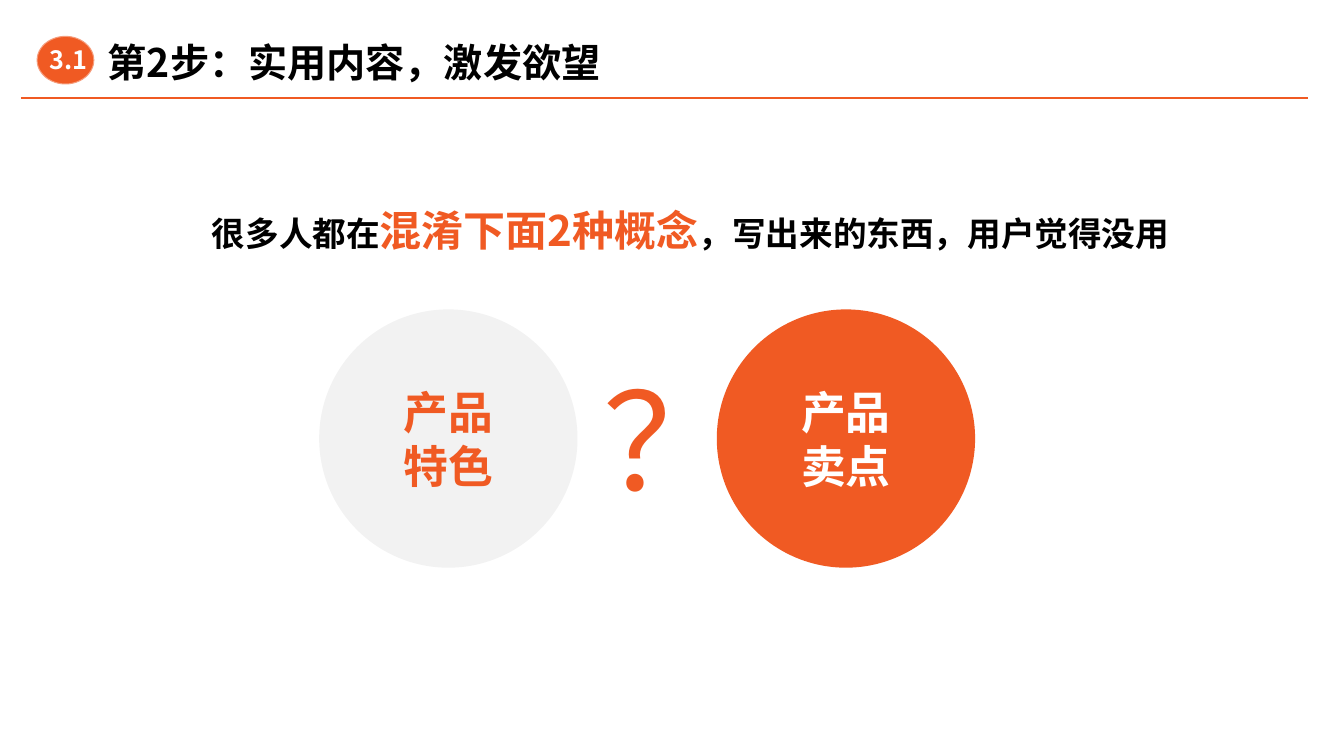
from lxml import etree
from pptx import Presentation
from pptx import util as u
from pptx.dml.color import RGBColor
from pptx.enum import shapes, text
from pptx.oxml.ns import qn

COLORS = {"accent": "F05A23", "badge_edge": "F69C7B", "grey": "808080",
          "black": "000000", "white": "FFFFFF"}
FONT = "Noto Sans CJK SC"
LEFT, CENTER = text.PP_ALIGN.LEFT, text.PP_ALIGN.CENTER
TOP, MIDDLE, BOTTOM = (text.MSO_ANCHOR.TOP, text.MSO_ANCHOR.MIDDLE,
                       text.MSO_ANCHOR.BOTTOM)


def rgb(name):
    return RGBColor.from_string(COLORS[name])


class Deck:
    """Holds the style and the current slide; lengths are in points."""

    def __init__(self, width, height):
        self.prs = Presentation()
        self.prs.slide_width, self.prs.slide_height = u.Pt(width), u.Pt(height)
        self.s = self.prs.slides.add_slide(self.prs.slide_layouts[5])

    def style_run(self, r, size, color, bold=True):
        r.font.size, r.font.bold = u.Pt(size), bold
        r.font.color.rgb = rgb(color)
        r.font.name = FONT
        ea = etree.Element(qn("a:ea"), typeface=FONT)
        r.font._element.find(qn("a:latin")).addnext(ea)

    def style_frame(self, tf, size, color, align, anchor, bold=True):
        tf.word_wrap, tf.vertical_anchor = True, anchor
        for p in tf.paragraphs:
            p.alignment = align
            for r in p.runs:
                self.style_run(r, size, color, bold)

    def title(self, words, box, size):
        sp = self.s.shapes.title
        sp.left, sp.top, sp.width, sp.height = map(u.Pt, box)
        tf = sp.text_frame
        tf.text = words
        tf.auto_size = text.MSO_AUTO_SIZE.NONE
        tf.margin_left = tf.margin_right = tf.margin_top = tf.margin_bottom = 0
        self.style_frame(tf, size, "black", LEFT, MIDDLE)

    def rule(self, left, right, y):
        line = self.s.shapes.add_connector(
            shapes.MSO_CONNECTOR.STRAIGHT, *map(u.Pt, (left, y, right, y)))
        line.line.color.rgb, line.line.width = rgb("accent"), u.Pt(1.5)
        etree.SubElement(line._element.spPr, qn("a:effectLst"))

    def disc(self, box, fill, kind=shapes.MSO_SHAPE.OVAL, edge=None, opacity=100):
        sp = self.s.shapes.add_shape(kind, *map(u.Pt, box))
        sp.shadow.inherit = False
        sp.fill.solid()
        sp.fill.fore_color.rgb = rgb(fill)
        if opacity < 100:
            color = sp._element.spPr.find(qn("a:solidFill"))[0]
            etree.SubElement(color, qn("a:alpha"), val=str(opacity * 1000))
        if edge:
            sp.line.color.rgb, sp.line.width = rgb(edge), u.Pt(0.75)
        else:
            sp.line.fill.background()
        return sp

    def label_disc(self, sp, words, color):
        sp.text_frame.text = words
        self.style_frame(sp.text_frame, 32, color, CENTER, MIDDLE)

    def textbox(self, words, box, size, color, align=CENTER, bold=True):
        tf = self.s.shapes.add_textbox(*map(u.Pt, box)).text_frame
        tf.text = words
        self.style_frame(tf, size, color, align, TOP, bold)

    def rich_line(self, parts, box):
        """Centred line made of (words, size, color) parts."""
        tf = self.s.shapes.add_textbox(*map(u.Pt, box)).text_frame
        tf.word_wrap, tf.vertical_anchor = True, BOTTOM
        p = tf.paragraphs[0]
        p.alignment = CENTER
        for words, size, color in parts:
            r = p.add_run()
            r.text = words
            self.style_run(r, size, color)


def main():
    deck = Deck(960, 540)
    deck.rule(15, 934, 70)
    deck.disc((26.5, 26, 40.5, 34), "accent",
              shapes.MSO_SHAPE.FLOWCHART_CONNECTOR, "badge_edge")
    deck.title("第2步：实用内容，激发欲望", (77, 26, 406, 36), 28)
    deck.textbox("3.1", (22.3, 28, 53.3, 29), 18, "white")

    diameter, top = 184.5, 221
    feature = deck.disc((228, top, diameter, diameter), "grey", opacity=10)
    deck.label_disc(feature, "产品\n特色", "accent")
    benefit = deck.disc((512, top, diameter, diameter), "accent")
    deck.label_disc(benefit, "产品\n卖点", "white")
    deck.textbox("？", (424, 251.3, 77, 124), 96, "accent", LEFT, bold=False)

    deck.rich_line([("很多人都在", 24, "black"),
                    ("混淆下面2种概念", 30, "accent"),
                    ("，写出来的东西，用户觉得没用", 24, "black")],
                   (65.5, 142, 855.5, 44))
    deck.prs.save("out.pptx")


if __name__ == "__main__":
    main()
